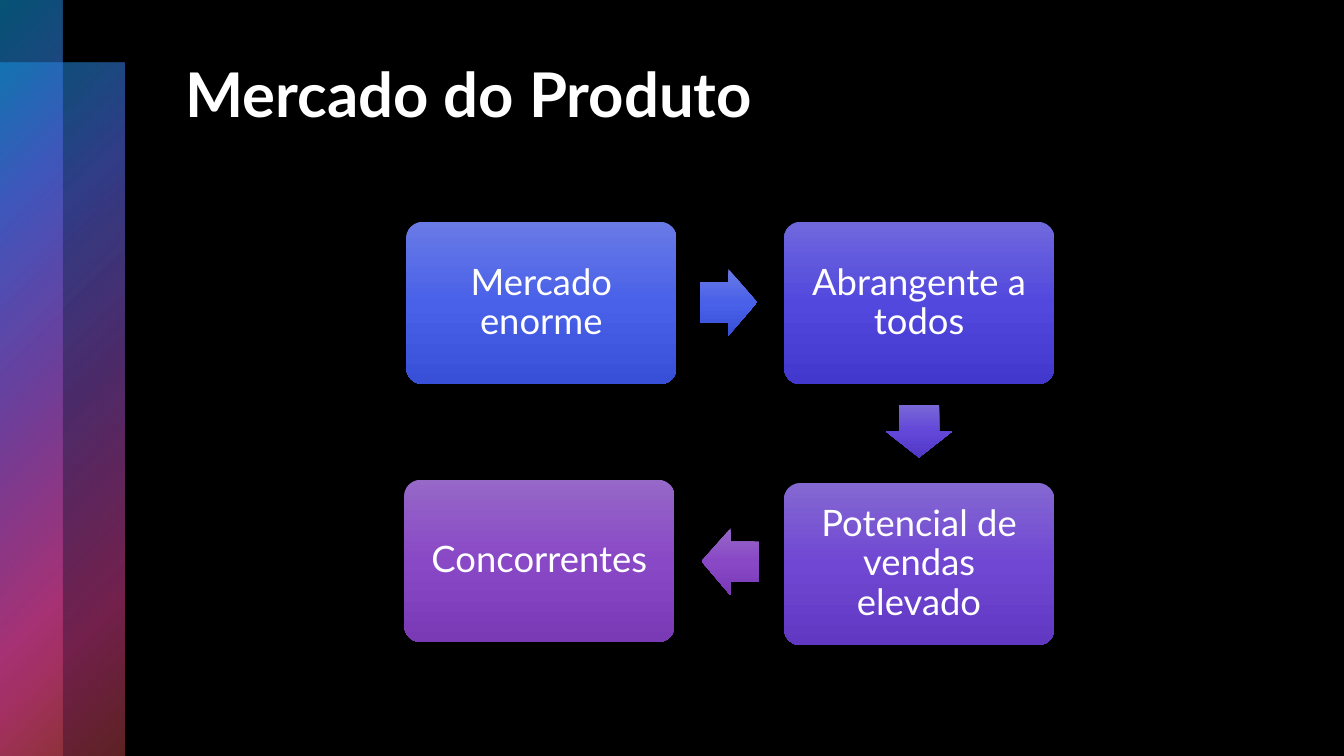
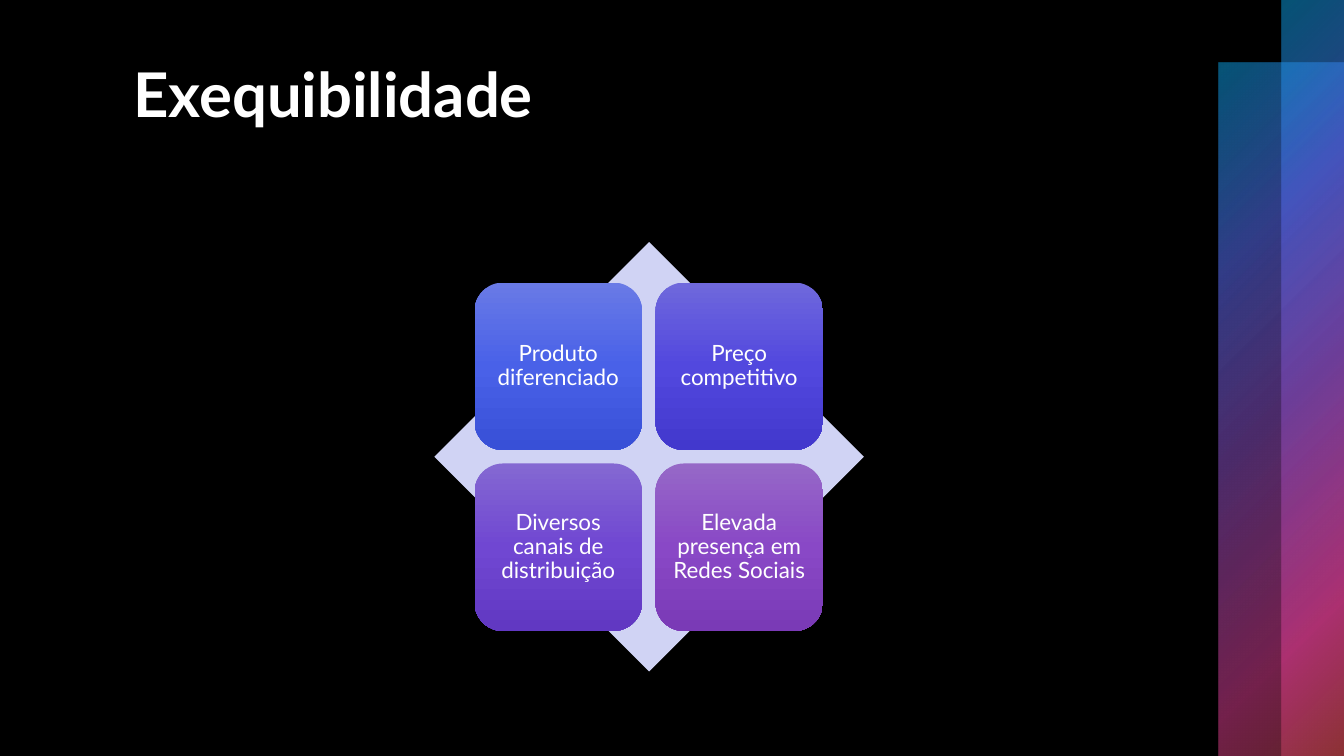
from dataclasses import dataclass
from typing import NamedTuple

from pptx import Presentation, oxml, util as u
from pptx.dml import color
from pptx.enum import shapes, text
from pptx.oxml import ns

Kind = shapes.MSO_SHAPE


class Stop(NamedTuple):
    place: int
    shade: str
    solid: int = 100


class Box(NamedTuple):
    left: float
    top: float
    width: float
    height: float


class Card(NamedTuple):
    words: str
    hue: tuple[str, str, str]
    box: Box


class Arrow(NamedTuple):
    hue: tuple[str, str, str]
    box: Box
    turn: float = 0


@dataclass(frozen=True)
class Theme:
    font: str = "Lato"
    back: str = "000000"
    ink: str = "FFFFFF"
    pale: str = "D0D3F4"
    blue: tuple[str, str, str] = ("697AE6", "4961E8", "3850D7")
    royal: tuple[str, str, str] = ("6F68DC", "5248DE", "4238CD")
    iris: tuple[str, str, str] = ("7968D7", "6247D8", "5238C7")
    violet: tuple[str, str, str] = ("8468D2", "7047D2", "6138C2")
    purple: tuple[str, str, str] = ("9668C7", "8948C6", "7A3AB6")
    band: tuple[Stop, ...] = (
        Stop(0, "0BA5E8", 50),
        Stop(25, "5066E1", 60),
        Stop(50, "894EC0", 55),
        Stop(81, "E54196", 50),
        Stop(99, "BE4449", 50),
    )
    title: int = 44
    large: int = 26
    small: int = 16


LOOK = Theme()
WIDE, HIGH = 33.87, 19.05
LINEAR = '<a:lin ang="5400000" scaled="0"/>'
RADIAL = '<a:path path="circle"><a:fillToRect r="100000" b="100000"/></a:path>'


def add_form(slide, kind: Kind, box: Box):
    form = slide.shapes.add_shape(kind, *(u.Cm(side) for side in box))
    form.shadow.inherit = False
    form.line.fill.background()
    return form


def blend(form, stops: tuple[Stop, ...], course: str) -> None:
    marks = "".join(
        f'<a:gs pos="{stop.place * 1000}"><a:srgbClr val="{stop.shade}">'
        f'<a:alpha val="{stop.solid * 1000}"/></a:srgbClr></a:gs>'
        for stop in stops
    )
    grade = oxml.parse_xml(
        f'<a:gradFill {ns.nsdecls("a")} rotWithShape="0">'
        f"<a:gsLst>{marks}</a:gsLst>{course}</a:gradFill>"
    )
    form.fill.background()
    props = form._element.spPr
    props.replace(props.find(ns.qn("a:noFill")), grade)


def tint(form, hue: tuple[str, str, str]) -> None:
    blend(form, tuple(Stop(50 * step, shade) for step, shade in enumerate(hue)), LINEAR)


def write(frame, words: str, size: int, align, bold: bool = False) -> None:
    frame.text = words
    frame.word_wrap = True
    frame.auto_size = text.MSO_AUTO_SIZE.NONE
    line = frame.paragraphs[0]
    line.alignment = align
    font = line.font
    font.name, font.size, font.bold = LOOK.font, u.Pt(size), bold
    font.color.rgb = color.RGBColor.from_string(LOOK.ink)


def add_card(slide, card: Card, size: int, curve: float, inset: float) -> None:
    form = add_form(slide, Kind.ROUNDED_RECTANGLE, card.box)
    form.adjustments[0] = curve
    tint(form, card.hue)
    frame = form.text_frame
    write(frame, card.words, size, text.PP_ALIGN.CENTER)
    frame.paragraphs[0].line_spacing = 0.9
    frame.vertical_anchor = text.MSO_ANCHOR.MIDDLE
    frame.margin_left = frame.margin_right = u.Cm(inset)
    frame.margin_top = frame.margin_bottom = u.Cm(inset)


def add_arrow(slide, arrow: Arrow) -> None:
    form = add_form(slide, Kind.RIGHT_ARROW, arrow.box)
    form.adjustments[0], form.adjustments[1] = 0.6, 0.5
    form.rotation = arrow.turn
    tint(form, arrow.hue)


def add_page(deck, words: str, left: float, right_side: bool):
    slide = deck.slides.add_slide(deck.slide_layouts[5])
    for width, top in ((3.15, 1.58), (1.58, 0)):
        start = WIDE - width if right_side else 0
        band = add_form(slide, Kind.RECTANGLE, Box(start, top, width, HIGH - top))
        blend(band, LOOK.band, RADIAL)
    title = slide.shapes.title
    title.left, title.top = u.Cm(left), u.Cm(1.27)
    title.width, title.height = u.Cm(26.34), u.Cm(4.32)
    write(title.text_frame, words, LOOK.title, text.PP_ALIGN.LEFT, bold=True)
    title.text_frame.vertical_anchor = text.MSO_ANCHOR.TOP
    return slide


def draw_market(deck) -> None:
    slide = add_page(deck, "Mercado do Produto", 4.42, right_side=False)
    size = (6.81, 4.09)
    cards = (
        Card("Mercado enorme", LOOK.blue, Box(10.24, 5.59, *size)),
        Card("Abrangente a todos", LOOK.royal, Box(19.76, 5.59, *size)),
        Card("Potencial de vendas elevado", LOOK.violet, Box(19.76, 12.17, *size)),
        Card("Concorrentes", LOOK.purple, Box(10.19, 12.09, *size)),
    )
    arrows = (
        Arrow(LOOK.blue, Box(17.63, 6.78, 1.45, 1.68)),
        Arrow(LOOK.iris, Box(22.5, 10.03, 1.32, 1.68), 90),
        Arrow(LOOK.purple, Box(17.68, 13.31, 1.45, 1.68), 180.5),
    )
    for card in cards:
        add_card(slide, card, LOOK.large, curve=0.1, inset=0.28)
    for arrow in arrows:
        add_arrow(slide, arrow)


def draw_matrix(deck) -> None:
    slide = add_page(deck, "Exequibilidade", 3.1, right_side=True)
    diamond = add_form(slide, Kind.DIAMOND, Box(10.95, 6.1, 10.82, 10.82))
    diamond.fill.solid()
    diamond.fill.fore_color.rgb = color.RGBColor.from_string(LOOK.pale)
    side, pitch = 4.22, 4.56
    tiles = (
        ("Produto diferenciado", LOOK.blue),
        ("Preço competitivo", LOOK.royal),
        ("Diversos canais de distribuição", LOOK.violet),
        ("Elevada presença em Redes Sociais", LOOK.purple),
    )
    for index, (words, hue) in enumerate(tiles):
        row, col = divmod(index, 2)
        box = Box(11.96 + col * pitch, 7.12 + row * pitch, side, side)
        add_card(slide, Card(words, hue, box), LOOK.small, curve=0.17, inset=0.18)


def main() -> None:
    deck = Presentation()
    deck.slide_width, deck.slide_height = u.Cm(WIDE), u.Cm(HIGH)
    back = deck.slide_master.background.fill
    back.solid()
    back.fore_color.rgb = color.RGBColor.from_string(LOOK.back)
    draw_market(deck)
    draw_matrix(deck)
    deck.save("out.pptx")


if __name__ == "__main__":
    main()
